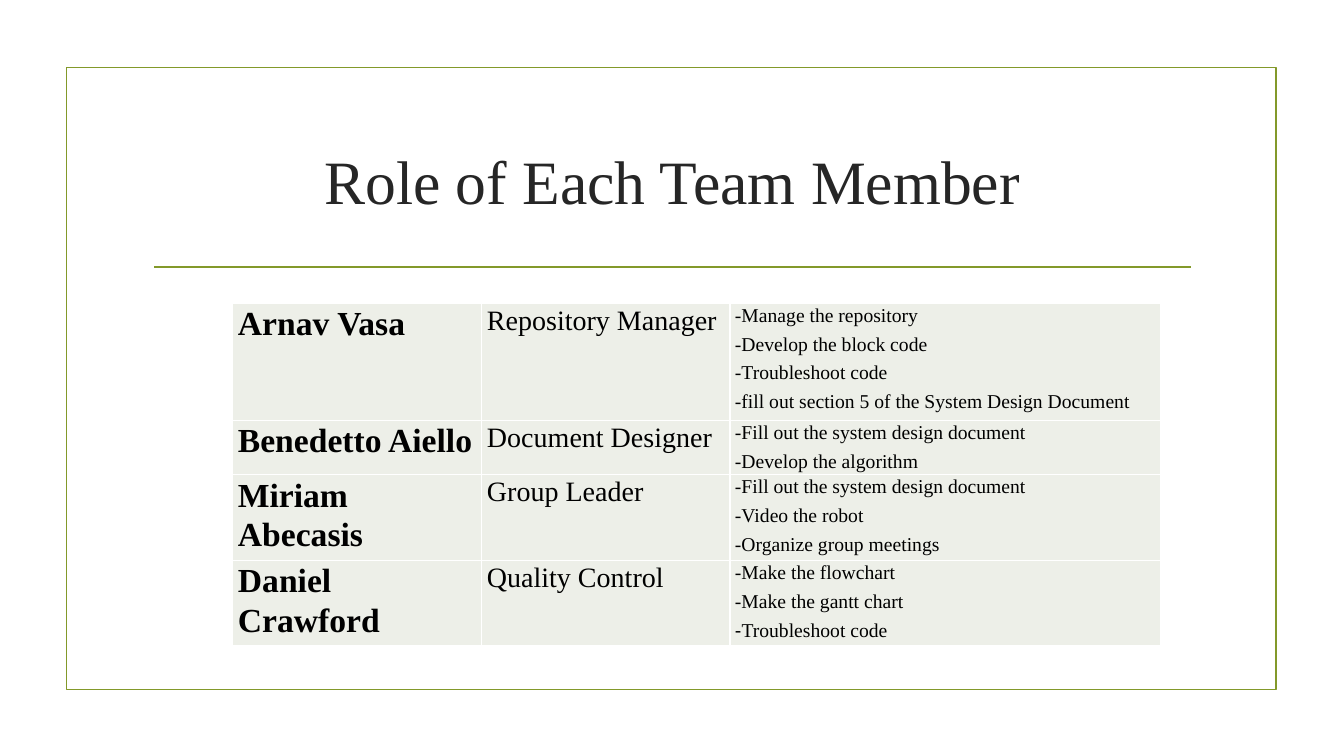
from lxml import etree
from pptx import Presentation
from pptx import util as u
from pptx.dml.color import RGBColor
from pptx.enum import shapes, text
from pptx.oxml.ns import qn

PX = 9144  # 100 px to the inch
FONT = "Times New Roman"
COLORS = {"olive": "83992A", "title": "262626", "text": "000000",
          "cell": "EDEFE8", "grid": "FFFFFF"}
COLUMN_WIDTHS = [247, 246, 427]
ROW_HEIGHTS = [116, 54, 85, 85]
COLUMN_STYLES = [(24, True), (20, False), (14, False)]  # size, bold
TEAM = [
    ("Arnav Vasa", "Repository Manager",
     ["-Manage the repository", "-Develop the block code", "-Troubleshoot code",
      "-fill out section 5 of the System Design Document"]),
    ("Benedetto Aiello", "Document Designer",
     ["-Fill out the system design document", "-Develop the algorithm"]),
    ("Miriam Abecasis", "Group Leader",
     ["-Fill out the system design document", "-Video the robot",
      "-Organize group meetings"]),
    ("Daniel Crawford", "Quality Control",
     ["-Make the flowchart", "-Make the gantt chart", "-Troubleshoot code"]),
]


def px(value):
    return u.Emu(value * PX)


def color(name):
    return RGBColor.from_string(COLORS[name])


def style_font(font, size, color_name, bold=False):
    font.name = FONT
    font.size = u.Pt(size)
    font.bold = bold
    font.color.rgb = color(color_name)


def style_line(line):
    line.color.rgb = color("olive")
    line.width = u.Pt(1.25)


def add_frame(page, left, top, width, height):
    frame = page.shapes.add_shape(shapes.MSO_SHAPE.RECTANGLE,
                                  px(left), px(top), px(width), px(height))
    frame.shadow.inherit = False
    frame.fill.background()
    style_line(frame.line)


def add_rule(page, left, right, top):
    rule = page.shapes.add_connector(shapes.MSO_CONNECTOR.STRAIGHT,
                                     px(left), px(top), px(right), px(top))
    style_line(rule.line)
    etree.SubElement(rule._element.spPr, qn("a:effectLst"))


def set_title(page, wording, left, top, width, height):
    title = page.shapes.title
    title.left, title.top = px(left), px(top)
    title.width, title.height = px(width), px(height)
    title.text_frame.text = wording
    title.text_frame.vertical_anchor = text.MSO_ANCHOR.MIDDLE
    para = title.text_frame.paragraphs[0]
    para.alignment = text.PP_ALIGN.CENTER
    style_font(para.font, 44, "title")


def add_cell_borders(cell):
    properties = cell._tc.get_or_add_tcPr()
    for position, side in enumerate(("lnL", "lnR", "lnT", "lnB")):
        border = etree.Element(qn(f"a:{side}"), w=str(u.Pt(1)))
        fill = etree.SubElement(border, qn("a:solidFill"))
        etree.SubElement(fill, qn("a:srgbClr"), val=COLORS["grid"])
        properties.insert(position, border)


def fill_cell(cell, lines, size, bold):
    cell.margin_left = cell.margin_right = px(5)
    cell.margin_top = cell.margin_bottom = 0
    cell.fill.solid()
    cell.fill.fore_color.rgb = color("cell")
    add_cell_borders(cell)
    cell.text_frame.text = "\n".join(lines)
    for index, para in enumerate(cell.text_frame.paragraphs):
        para.line_spacing = 1.07
        para.space_before = u.Pt(2 if index else 0)
        para.space_after = u.Pt(2)
        style_font(para.font, size, "text", bold)


def add_team_table(page, left, top):
    table = page.shapes.add_table(
        len(TEAM), len(COLUMN_WIDTHS), px(left), px(top),
        px(sum(COLUMN_WIDTHS)), px(sum(ROW_HEIGHTS))).table
    table.first_row = table.horz_banding = False
    for column, width in zip(table.columns, COLUMN_WIDTHS):
        column.width = px(width)
    for row, height, (name, role, tasks) in zip(table.rows, ROW_HEIGHTS, TEAM):
        row.height = px(height)
        for cell, lines, style in zip(row.cells, ([name], [role], tasks),
                                      COLUMN_STYLES):
            fill_cell(cell, lines, *style)
    # The last dash is set in another typeface
    para = table.cell(3, 2).text_frame.paragraphs[-1]
    dash = para.runs[0]
    wording = dash.text
    dash.text = wording[0]
    dash.font.name = "Arial"
    para.add_run().text = wording[1:]
    for span in para.runs:
        style_font(span.font, 14, "text")
    dash.font.name = "Arial"


def main():
    deck = Presentation()
    deck.slide_width, deck.slide_height = px(1333), px(750)
    page = deck.slides.add_slide(deck.slide_layouts[5])

    # Frame and heading
    add_frame(page, 66, 67, 1200, 617)
    add_rule(page, 153, 1181, 265)
    set_title(page, "Role of Each Team Member", 142, 107, 1050, 143)

    # Team roles
    add_team_table(page, 231, 301)

    deck.save("out.pptx")


if __name__ == "__main__":
    main()
